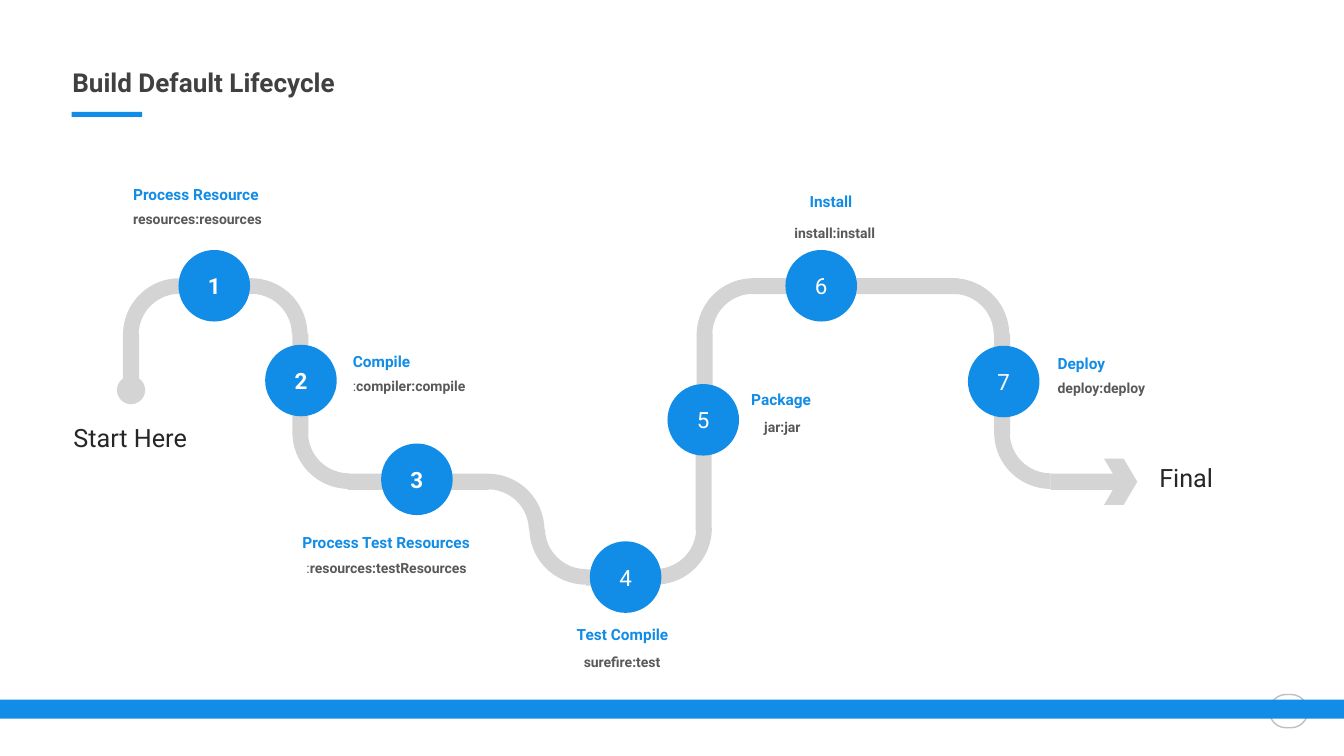
from pptx import Presentation
from pptx.dml.color import RGBColor
from pptx.enum.shapes import MSO_SHAPE
from pptx.enum.text import MSO_ANCHOR, PP_ALIGN
from pptx.util import Inches, Pt

RECTANGLE = MSO_SHAPE.RECTANGLE
ROUNDED = MSO_SHAPE.ROUNDED_RECTANGLE
OVAL = MSO_SHAPE.OVAL
ARC = MSO_SHAPE.BLOCK_ARC
CHEVRON = MSO_SHAPE.CHEVRON
MIDDLE = MSO_ANCHOR.MIDDLE
CENTER = PP_ALIGN.CENTER

TOP_RIGHT, BOTTOM_RIGHT, BOTTOM_LEFT, TOP_LEFT = 0, 90, 180, 270


def color(value):
    return RGBColor.from_string(value)


class LifecycleSlide:
    FONT = "Roboto"
    BLUE = "118CE7"
    ROAD = "D4D4D4"
    ROAD_WIDTH = 0.16
    BEND_SIZE = 1.12
    STEP_SIZE = 0.71

    def __init__(self, presentation):
        self.slide = presentation.slides.add_slide(presentation.slide_layouts[6])

    def shape(self, kind, left, top, width, height, fill=None, line=None):
        shape = self.slide.shapes.add_shape(
            kind, Inches(left), Inches(top), Inches(width), Inches(height))
        shape.shadow.inherit = False
        if fill:
            shape.fill.solid()
            shape.fill.fore_color.rgb = color(fill)
        else:
            shape.fill.background()
        if line:
            shape.line.color.rgb = color(line)
            shape.line.width = Pt(1)
        else:
            shape.line.fill.background()
        return shape

    def style(self, paragraph, size, font_color, bold=False):
        paragraph.font.name = self.FONT
        paragraph.font.size = Pt(size)
        paragraph.font.bold = bold
        paragraph.font.color.rgb = color(font_color)

    def text(self, content, left, top, width, height, size, font_color,
             bold=False, spacing=None, before=None, inset=True):
        box = self.slide.shapes.add_textbox(
            Inches(left), Inches(top), Inches(width), Inches(height))
        frame = box.text_frame
        frame.word_wrap = True
        if not inset:
            frame.margin_left = frame.margin_right = 0
            frame.margin_top = frame.margin_bottom = 0
        paragraph = frame.paragraphs[0]
        self.style(paragraph, size, font_color, bold)
        if spacing:
            paragraph.line_spacing = spacing
            paragraph.space_before = Pt(before)
        if content.startswith(":"):
            colon = paragraph.add_run()
            colon.text = ":"
            colon.font.bold = False
            content = content[1:]
        paragraph.add_run().text = content
        return frame

    def title(self, content):
        frame = self.text(content, 0.62, 0.69, 11.93, 0.33, 18.6, "404040",
                          bold=True, spacing=0.7, before=10)
        frame.vertical_anchor = MIDDLE
        self.shape(RECTANGLE, 0.71, 1.11, 0.7, 0.05, self.BLUE)

    def horizontal_road(self, left, top, length):
        self.shape(RECTANGLE, left, top, length, self.ROAD_WIDTH, self.ROAD)

    def vertical_road(self, left, top, length):
        self.shape(RECTANGLE, left, top, self.ROAD_WIDTH, length, self.ROAD)

    def bend(self, left, top, quarter):
        arc = self.shape(ARC, left, top, self.BEND_SIZE, self.BEND_SIZE, self.ROAD)
        arc.adjustments[0] = 162.03
        arc.adjustments[1] = 215.54
        arc.adjustments[2] = 0.138
        arc.rotation = quarter

    def step(self, number, left, top, bold):
        circle = self.shape(OVAL, left, top, self.STEP_SIZE, self.STEP_SIZE, self.BLUE)
        frame = circle.text_frame
        frame.vertical_anchor = MIDDLE
        paragraph = frame.paragraphs[0]
        paragraph.text = str(number)
        paragraph.alignment = CENTER
        self.style(paragraph, 16, "FFFFFF", bold)

    def label(self, phase, phase_at, goal, goal_at):
        self.text(goal, *goal_at, 2.06, 0.25, 10, "595959", bold=True,
                  spacing=1.2, before=7.5, inset=False)
        self.text(phase, *phase_at, 2.06, 0.23, 11, self.BLUE, bold=True,
                  spacing=0.9, before=7.5, inset=False)

    def endpoint(self, content, left, top, width):
        self.text(content, left, top, width, 0.4, 18, "262626")


BENDS = [
    (1.22, 2.76, TOP_LEFT), (1.93, 2.76, TOP_RIGHT), (2.9, 3.73, BOTTOM_LEFT),
    (4.28, 4.7, TOP_RIGHT), (5.25, 4.68, BOTTOM_LEFT), (5.94, 4.68, BOTTOM_RIGHT),
    (6.91, 2.76, TOP_LEFT), (8.89, 2.76, TOP_RIGHT), (9.86, 3.73, BOTTOM_LEFT),
]
HORIZONTAL_ROADS = [
    (2.22, 2.76, 0.28), (3.45, 4.7, 0.72), (4.13, 4.7, 0.72), (5.81, 5.65, 0.72),
    (7.45, 2.76, 0.58), (8.28, 2.76, 1.22), (10.42, 4.7, 0.72),
]
VERTICAL_ROADS = [
    (1.22, 3.31, 0.51), (2.9, 3.31, 0.51), (2.9, 3.8, 0.51), (6.9, 4.2, 1.07),
    (6.91, 3.31, 0.85), (9.86, 3.31, 0.51), (9.86, 3.8, 0.51),
]
STEPS = [
    ((1.77, 2.48), "Process Resource", (1.32, 1.86), "resources:resources", (1.32, 2.06)),
    ((2.63, 3.42), "Compile", (3.5, 3.51), ":compiler:compile", (3.5, 3.71)),
    ((3.78, 4.4), "Process Test Resources", (3, 5.31), ":resources:testResources", (3.04, 5.52)),
    ((5.85, 5.37), "Test Compile", (5.72, 6.22), "surefire:test", (5.79, 6.45)),
    ((6.62, 3.81), "Package", (7.45, 3.89), "jar:jar", (7.58, 4.12)),
    ((7.79, 2.48), "Install", (8.03, 1.93), "install:install", (7.88, 2.19)),
    ((9.6, 3.43), "Deploy", (10.49, 3.53), "deploy:deploy", (10.49, 3.73)),
]
LAST_BOLD_STEP = 3


def main():
    presentation = Presentation()
    presentation.slide_width = Inches(13.33)
    presentation.slide_height = Inches(7.5)
    lifecycle = LifecycleSlide(presentation)

    page_badge = lifecycle.shape(ROUNDED, 12.59, 6.89, 0.38, 0.33, line="BFBFBF")
    page_badge.adjustments[0] = 0.5
    lifecycle.title("Build Default Lifecycle")

    for bend in BENDS:
        lifecycle.bend(*bend)
    for road in HORIZONTAL_ROADS:
        lifecycle.horizontal_road(*road)
    for road in VERTICAL_ROADS:
        lifecycle.vertical_road(*road)
    lifecycle.shape(OVAL, 1.16, 3.73, 0.28, 0.28, lifecycle.ROAD)
    arrow = lifecycle.shape(CHEVRON, 10.95, 4.55, 0.33, 0.46, lifecycle.ROAD)
    arrow.adjustments[0] = 0.41

    lifecycle.endpoint("Start Here", 0.63, 4.14, 1.5)
    lifecycle.endpoint("Final", 11.4, 4.54, 0.9)
    for number, (circle_at, *label) in enumerate(STEPS, start=1):
        lifecycle.label(*label)
        lifecycle.step(number, *circle_at, bold=number <= LAST_BOLD_STEP)

    lifecycle.shape(RECTANGLE, 0, 6.94, 13.33, 0.19, lifecycle.BLUE)
    presentation.save("out.pptx")


if __name__ == "__main__":
    main()
